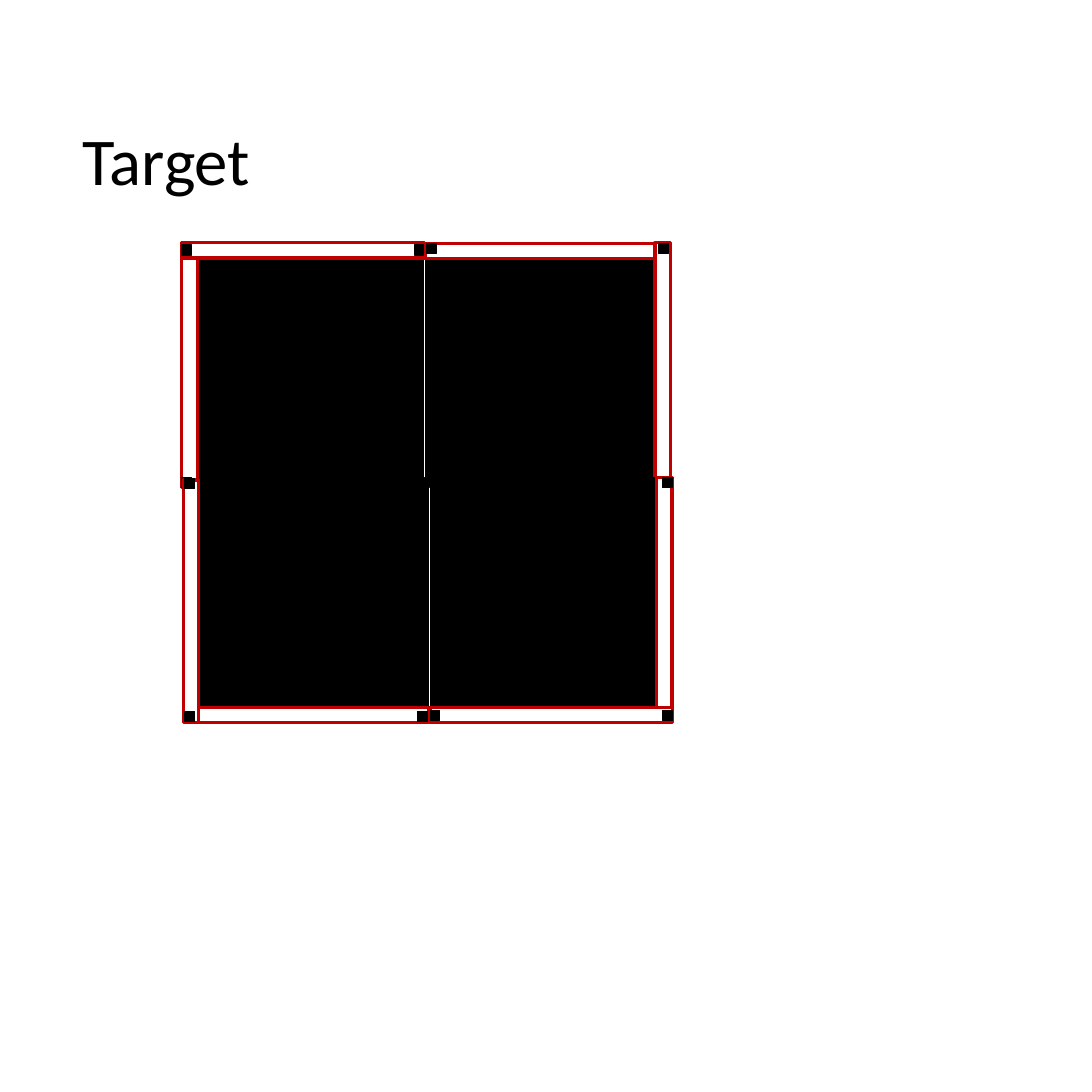
from itertools import product

from pptx import Presentation
from pptx.dml.color import RGBColor
from pptx.enum import shapes, text
from pptx.util import Inches, Pt

COLORS = {"black": "000000", "white": "FFFFFF", "red": "C00000"}
SLIDE_SIZE = 14.17
TILE = 3.15
BAR = 0.2
MARK = 0.13

# Tile corner, then offsets from it: bars as (size, dx, dy) from back to front, marks as (dx, dy)
UPRIGHT = (BAR, TILE)
FLAT = (TILE, BAR)
TILES = [
    ((2.34, 3.18), [(UPRIGHT, 0.02, 0), (FLAT, 0.02, -0.03)], (0.02, 0)),
    ((5.52, 3.16), [(FLAT, 0, 0), (UPRIGHT, 2.98, -0.01)], (0.01, 0)),
    ((5.59, 6.2), [(UPRIGHT, 2.93, 0), (FLAT, -0.01, 2.98)], (-0.01, 0)),
    ((2.41, 6.22), [(FLAT, 0, 2.96), (UPRIGHT, -0.03, 0.01)], (-0.01, -0.01)),
]


def color(name):
    return RGBColor.from_string(COLORS[name])


def add_title(slide, left, top, width, height):
    frame = slide.shapes.add_textbox(*map(Inches, (left, top, width, height))).text_frame
    frame.word_wrap = True
    frame.vertical_anchor = text.MSO_ANCHOR.MIDDLE
    title = frame.paragraphs[0]
    title.text = "Target"
    title.line_spacing = 0.9
    title.font.name = "Calibri"
    title.font.size = Pt(62.4)
    title.font.color.rgb = color("black")


def add_rect(slide, left, top, width, height, fill="black", line="black", weight=1):
    rect = slide.shapes.add_shape(
        shapes.MSO_SHAPE.RECTANGLE, *map(Inches, (left, top, width, height)))
    rect.shadow.inherit = False
    rect.fill.solid()
    rect.fill.fore_color.rgb = color(fill)
    rect.line.color.rgb = color(line)
    rect.line.width = Pt(weight)


def add_tile(slide, left, top, bars, mark_offset):
    """Draw a black square with two red-edged bars and a mark in each corner."""
    add_rect(slide, left, top, TILE, TILE)
    for size, dx, dy in bars:
        add_rect(slide, left + dx, top + dy, *size, "white", "red", 3)
    dx, dy = mark_offset
    for row, column in product(range(2), repeat=2):
        add_rect(slide, left + dx + column * (TILE - MARK),
                 top + dy + row * (TILE - MARK), MARK, MARK)


def main():
    prs = Presentation()
    prs.slide_width = prs.slide_height = Inches(SLIDE_SIZE)
    slide = prs.slides.add_slide(prs.slide_layouts[6])
    add_title(slide, 0.97, 0.75, 12.22, 2.74)
    for (left, top), bars, mark_offset in TILES:
        add_tile(slide, left, top, bars, mark_offset)
    prs.save("out.pptx")


if __name__ == "__main__":
    main()
